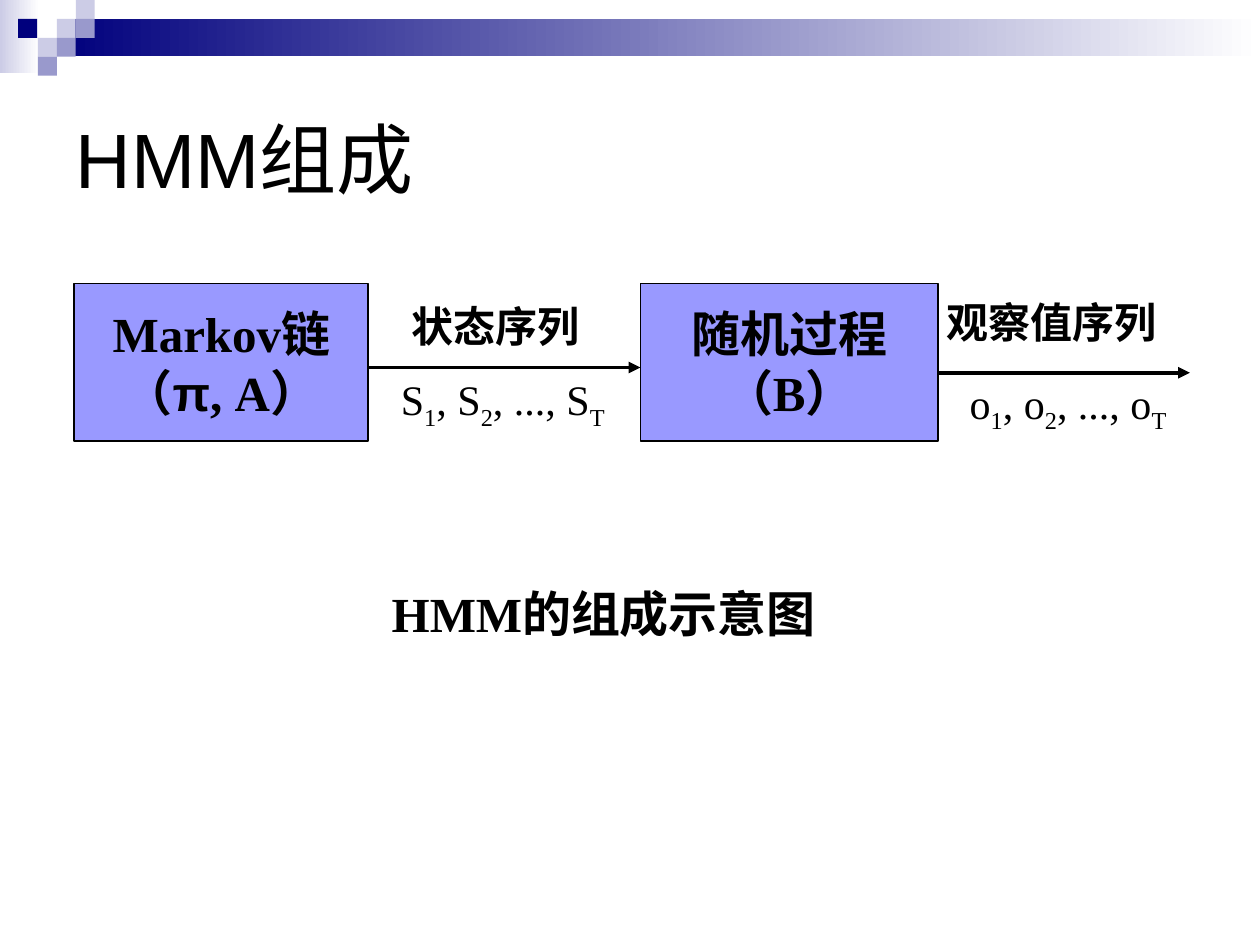
from lxml import etree
from pptx import Presentation
from pptx.dml.color import RGBColor
from pptx.enum.shapes import MSO_CONNECTOR, MSO_SHAPE
from pptx.enum.text import MSO_ANCHOR, MSO_AUTO_SIZE, PP_ALIGN
from pptx.oxml.ns import qn
from pptx.util import Pt

RECT, STRAIGHT = MSO_SHAPE.RECTANGLE, MSO_CONNECTOR.STRAIGHT
MIDDLE, TOP = MSO_ANCHOR.MIDDLE, MSO_ANCHOR.TOP
LEFT, CENTER = PP_ALIGN.LEFT, PP_ALIGN.CENTER
GROW, FIXED = MSO_AUTO_SIZE.SHAPE_TO_FIT_TEXT, MSO_AUTO_SIZE.NONE

COLORS = {"navy": "00007D", "pale": "CCCCE6", "mid": "9999CC",
          "box": "9999FF", "white": "FFFFFF", "black": "000000"}
SERIF, SANS = "Times New Roman", "Arial"


def rgb(name):
    return RGBColor.from_string(COLORS[name])


class SlideBuilder:
    def __init__(self, prs):
        self.s = prs.slides.add_slide(prs.slide_layouts[5])

    def add_text(self, tf, paragraphs, size, bold=False, font=SERIF, align=LEFT, before=0):
        for i, runs in enumerate(paragraphs):
            p = tf.add_paragraph() if i else tf.paragraphs[0]
            p.alignment, p.space_before = align, Pt(before)
            for text, extra in runs:
                r = p.add_run()
                r.text = text
                style = {"size": Pt(size), "bold": bold, "name": font}
                style.update({k: v for k, v in extra.items() if k != "sub"})
                for key, value in style.items():
                    setattr(r.font, key, value)
                r.font.color.rgb = rgb("black")
                if extra.get("sub"):
                    r._r.get_or_add_rPr().set("baseline", "-25000")

    def title(self, text, *at):
        sp = self.s.shapes.title
        sp.left, sp.top, sp.width, sp.height = map(Pt, at)
        tf = sp.text_frame
        tf.vertical_anchor, tf.auto_size = MIDDLE, FIXED
        self.add_text(tf, [[(text, {})]], 44, font=SANS)

    def rect(self, at, color, fade=False):
        sp = self.s.shapes.add_shape(RECT, *map(Pt, at))
        sp.shadow.inherit = False
        sp.line.fill.background()
        if fade:
            sp.fill.gradient()
            sp.fill.gradient_angle = 0
            for stop, name in zip(sp.fill.gradient_stops, (color, "white")):
                stop.color.rgb = rgb(name)
        else:
            sp.fill.solid()
            sp.fill.fore_color.rgb = rgb(color)
        return sp

    def box(self, at, paragraphs):
        sp = self.rect(at, "box")
        sp.line.color.rgb = rgb("black")
        sp.line.width = Pt(1)
        tf = sp.text_frame
        tf.word_wrap, tf.vertical_anchor = False, MIDDLE
        self.add_text(tf, paragraphs, 28, bold=True, align=CENTER)

    def label(self, at, runs, size=24, bold=True, align=LEFT, before=15):
        tf = self.s.shapes.add_textbox(*map(Pt, at)).text_frame
        for key, value in {"word_wrap": True, "auto_size": GROW,
                           "vertical_anchor": TOP}.items():
            setattr(tf, key, value)
        self.add_text(tf, [runs], size, bold, align=align, before=before)

    def sequence(self, at, symbol):
        runs = []
        for lead, index in (("", "1"), (", ", "2"), (", ..., ", "T")):
            runs += [(lead + symbol, {}), (index, {"sub": True})]
        self.label(at, runs, bold=False)

    def arrow(self, x1, x2, y):
        line = self.s.shapes.add_connector(STRAIGHT, Pt(x1), Pt(y), Pt(x2), Pt(y))
        line.line.color.rgb = rgb("black")
        line.line.width = Pt(2.25)
        props = line._element.spPr
        etree.SubElement(props.find(qn("a:ln")), qn("a:tailEnd"), type="triangle")
        etree.SubElement(props, qn("a:effectLst"))


def main():
    prs = Presentation()
    prs.slide_width, prs.slide_height = Pt(720), Pt(540)
    slide = SlideBuilder(prs)

    slide.rect((0, 0, 22.5, 42), "pale", fade=True)
    slide.rect((32.5, 10.8, 687.5, 21.4), "navy", fade=True)
    side = 10.8
    for x, row, color in ((32.5, 1, "pale"), (43.3, 0, "pale"), (43.3, 1, "mid"),
                          (21.7, 2, "pale"), (10.4, 1, "navy"), (32.5, 2, "mid"),
                          (21.7, 3, "mid")):
        slide.rect((x, row * side, side, side), color)

    slide.title("HMM组成", 36, 36, 648, 108)
    slide.box((42.5, 162, 168, 90),
              [[("Markov链", {})], [("（", {}), ("π", {"name": SANS}), (", A）", {})]])
    slide.box((366, 162, 170, 90), [[("随机过程", {})], [("（B）", {})]])
    slide.arrow(210, 366, 210)
    slide.arrow(536, 680, 213)
    slide.label((228, 168, 120, 36), [("状态序列", {})])
    slide.label((534, 166, 150, 36), [("观察值序列", {})])
    slide.sequence((222, 210, 138, 40), "S")
    slide.sequence((547, 212, 138, 40), "o")
    slide.label((96, 330, 498, 41), [("HMM的组成示意图", {})], 28, align=CENTER, before=17.5)
    prs.save("out.pptx")


if __name__ == "__main__":
    main()
